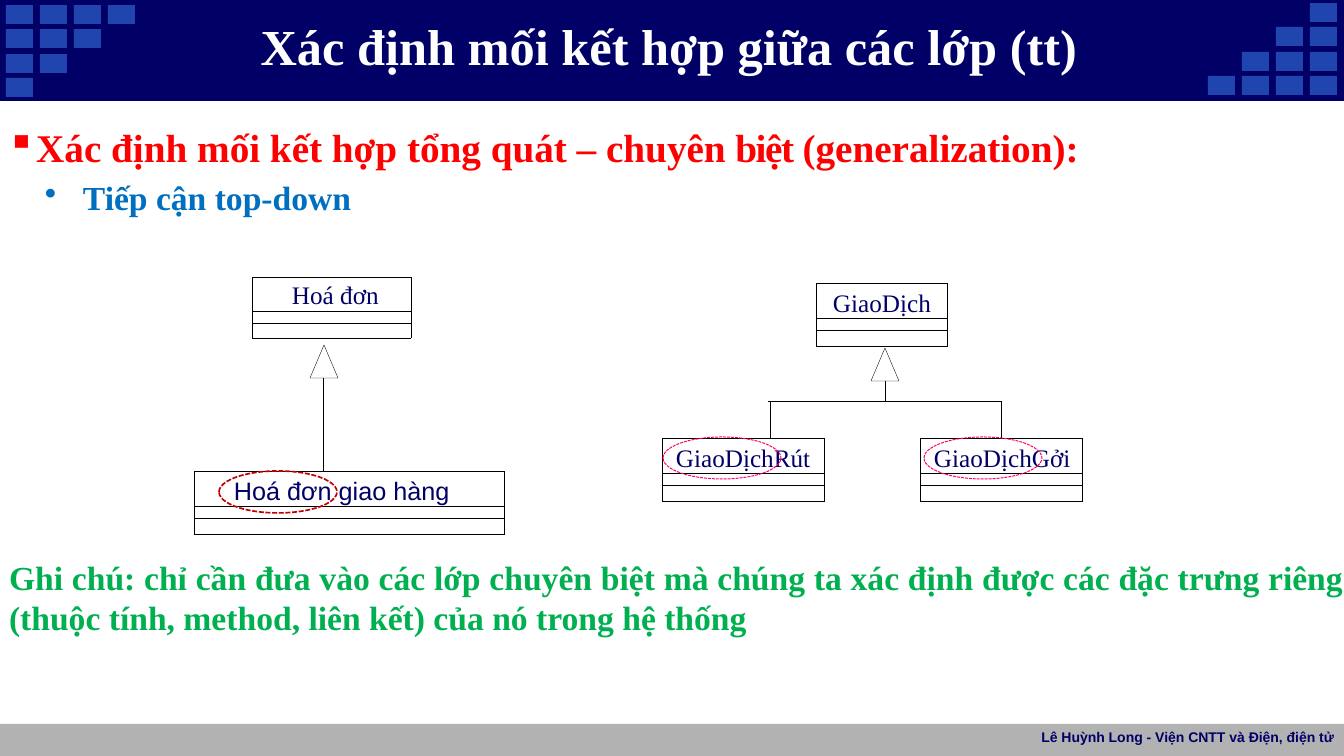
"""Build the slide on generalization relationships between classes."""
import lxml.etree
import pptx
import pptx.dml.color
import pptx.enum.dml
import pptx.enum.shapes
import pptx.enum.text
import pptx.oxml.ns
import pptx.util

PX = 914400 / 100.8
SERIF, SANS = "Times New Roman", "Arial"
NAVY, BLACK, PINK = "000066", "000000", "FF0066"
MSO = pptx.enum.shapes.MSO_SHAPE
ALIGN = pptx.enum.text.PP_ALIGN
ANCHOR = pptx.enum.text.MSO_ANCHOR
Pt = pptx.util.Pt
qn = pptx.oxml.ns.qn
rgb = pptx.dml.color.RGBColor.from_string

prs = pptx.Presentation()
prs.slide_width, prs.slide_height = round(1344 * PX), round(756 * PX)
s = prs.slides.add_slide(prs.slide_layouts[5])


def draw(kind, box, fill=None, line=None, width=0.25):
    """Add a preset shape placed in px."""
    sp = s.shapes.add_shape(kind, *[round(v * PX) for v in box])
    sp.shadow.inherit = False
    if fill:
        sp.fill.solid()
        sp.fill.fore_color.rgb = rgb(fill)
    else:
        sp.fill.background()
    if line:
        sp.line.color.rgb = rgb(line)
        sp.line.width = Pt(width)
    else:
        sp.line.fill.background()
    return sp


def write(tf, p, text, color, margins=(0, 0, 0, 0), para={}, **font):
    """Add a formatted run to a paragraph of a text frame or cell."""
    for side, v in zip(("left", "top", "right", "bottom"), margins):
        setattr(tf, "margin_" + side, round(v * PX))
    for key, value in para.items():
        setattr(p, key, value)
    r = p.add_run()
    r.text = text
    r.font.color.rgb = rgb(color)
    for key, value in font.items():
        setattr(r.font, key, value)
    return r


draw(MSO.RECTANGLE, (0, 724, 1344, 32), "B2B2B2")
draw(MSO.RECTANGLE, (0, 0, 1344, 101), NAVY, NAVY, 0.75)
for row in range(4):
    for col in range(4 - row):
        x, y = 6 + 34 * col, 5 + 49 * row // 2
        for left, top in ((x, y), (1316 - x, 81 - y)):
            draw(MSO.RECTANGLE, (left, top, 27, 19), "2045AE")

sp = s.shapes.add_textbox(*[round(v * PX) for v in (0, 113, 1159, 105)])
tf = sp.text_frame
tf.word_wrap = True
bullets = [
    ("▪", 32, -25, 0, 28, "FF0000",
     [("Xác định mối kết hợp tổng quát – chuyên ", 0), ("biệt ", -100), ("(generalization):", 0)]),
    ("•", 83, -38, 4.9, 24, "006FC0", [("Tiếp cận top-down", 0)]),
]
for i, (char, margin, indent, before, size, color, runs) in enumerate(bullets):
    p = tf.add_paragraph() if i else tf.paragraphs[0]
    pPr = p._p.get_or_add_pPr()
    pPr.set("marL", str(round(margin * PX)))
    pPr.set("indent", str(round(indent * PX)))
    lxml.etree.SubElement(pPr, qn("a:buChar"), char=char)
    if before:
        p.space_before = Pt(before)
    for text, spacing in runs:
        r = write(tf, p, text, color, (0, 10, 0, 0), name=SERIF, size=Pt(size), bold=True)
        if spacing:
            r.font._element.set("spc", str(spacing))

frame = s.shapes.add_table(3, 1, *[round(v * PX) for v in (252, 277, 159, 61)])
table = frame.table
table.first_row = table.horz_banding = False
for i, height in enumerate((34, 12, 15)):
    table.rows[i].height = round(height * PX)
    cell = table.cell(i, 0)
    tcPr = cell._tc.get_or_add_tcPr()
    for side in "LRTB":
        ln = lxml.etree.SubElement(tcPr, qn("a:ln" + side), w="3175")
        solid = lxml.etree.SubElement(ln, qn("a:solidFill"))
        lxml.etree.SubElement(solid, qn("a:srgbClr"), val=BLACK)
    cell.fill.background()
    p = cell.text_frame.paragraphs[0]
    if i == 0:
        write(cell, p, "Hoá đơn", NAVY, (40, 5, 0, 0), {"line_spacing": Pt(20)},
              name=SERIF, size=Pt(18))
    else:
        for side in ("left", "top", "right", "bottom"):
            setattr(cell, "margin_" + side, 0)
        lxml.etree.SubElement(p._p, qn("a:endParaRPr"), sz="600")

classes = [
    ("Hoá đơn giao hàng", 194, 471, 310, 40, SANS),
    ("GiaoDịch", 816, 283, 131, 17, SERIF),
    ("GiaoDịchRút", 662, 438, 162, 14, SERIF),
    ("GiaoDịchGởi", 920, 438, 162, 14, SERIF),
]
boxes = {}
for name, x, y, w, margin, font in classes:
    boxes[name] = draw(MSO.RECTANGLE, (x, y, w, 63), line=BLACK)
    sp = draw(MSO.RECTANGLE, (x, y, w, 35), line=BLACK)
    tf = sp.text_frame
    tf.vertical_anchor = ANCHOR.TOP
    tf.word_wrap = True
    write(tf, tf.paragraphs[0], name, NAVY, (margin, 5, 0, 0),
          {"alignment": ALIGN.LEFT, "line_spacing": Pt(21)}, name=font, size=Pt(18))
    for top in (35, 47):
        draw(MSO.RECTANGLE, (x, y + top, w, 63 - top), line=BLACK)

links = [
    (885, 381, 885, 401, 0.25, None),
    (768, 401, 1001, 401, 0.25, None),
    (770, 402, 770, 438, 0.25, None),
    (1001, 401, 1001, 438, 0.25, "GiaoDịchGởi"),
    (324, 378, 324, 471, 0.72, None),
]
for x1, y1, x2, y2, width, target in links:
    cn = s.shapes.add_connector(pptx.enum.shapes.MSO_CONNECTOR.STRAIGHT,
                                *[round(v * PX) for v in (x1, y1, x2, y2)])
    cn.line.color.rgb = rgb(BLACK)
    cn.line.width = Pt(width)
    lxml.etree.SubElement(cn._element.spPr, qn("a:effectLst"))
    if target:
        cn.end_connect(boxes[target], 0)

draw(MSO.ISOSCELES_TRIANGLE, (871, 348, 28, 33), "FFFFFF", BLACK)
draw(MSO.ISOSCELES_TRIANGLE, (310, 345, 28, 33), line=BLACK)
for x, y, color, width in ((219, 471, "C00000", 1.2), (663, 437, PINK, 0.72), (924, 437, PINK, 0.72)):
    sp = draw(MSO.OVAL, (x, y, 118, 42), line=color, width=width)
    sp.line.dash_style = pptx.enum.dml.MSO_LINE.SQUARE_DOT

title = s.shapes.title
s.shapes._spTree.append(title._element)
note = s.shapes.add_textbox(0, 0, 0, 0)
footer = s.shapes.add_textbox(0, 0, 0, 0)
texts = [
    (note, (8, 556, 1336, 83), (1, 1, 0, 0), ALIGN.JUSTIFY, ANCHOR.TOP, "00B050", SERIF, 24,
     "Ghi chú: chỉ cần đưa vào các lớp chuyên biệt mà chúng ta xác định được các đặc trưng riêng "
     "(thuộc tính, method, liên kết) của nó trong hệ thống"),
    (title, (244, 13, 849, 63), (1, 1, 0, 0), ALIGN.CENTER, ANCHOR.MIDDLE, "FFFFFF", SERIF, 36,
     "Xác định mối kết hợp giữa các lớp (tt)"),
    (footer, (1025, 724, 319, 30), (10, 5, 10, 5), ALIGN.RIGHT, ANCHOR.TOP, NAVY, SANS, 10,
     "Lê Huỳnh Long - Viện CNTT và Điện, điện tử"),
]
for sp, box, margins, align, anchor, color, font, size, text in texts:
    for key, v in zip(("left", "top", "width", "height"), box):
        setattr(sp, key, round(v * PX))
    tf = sp.text_frame
    tf.auto_size = pptx.enum.text.MSO_AUTO_SIZE.NONE
    tf.word_wrap = True
    tf.vertical_anchor = anchor
    write(tf, tf.paragraphs[0], text, color, margins, {"alignment": align},
          name=font, size=Pt(size), bold=True)

prs.save("out.pptx")
